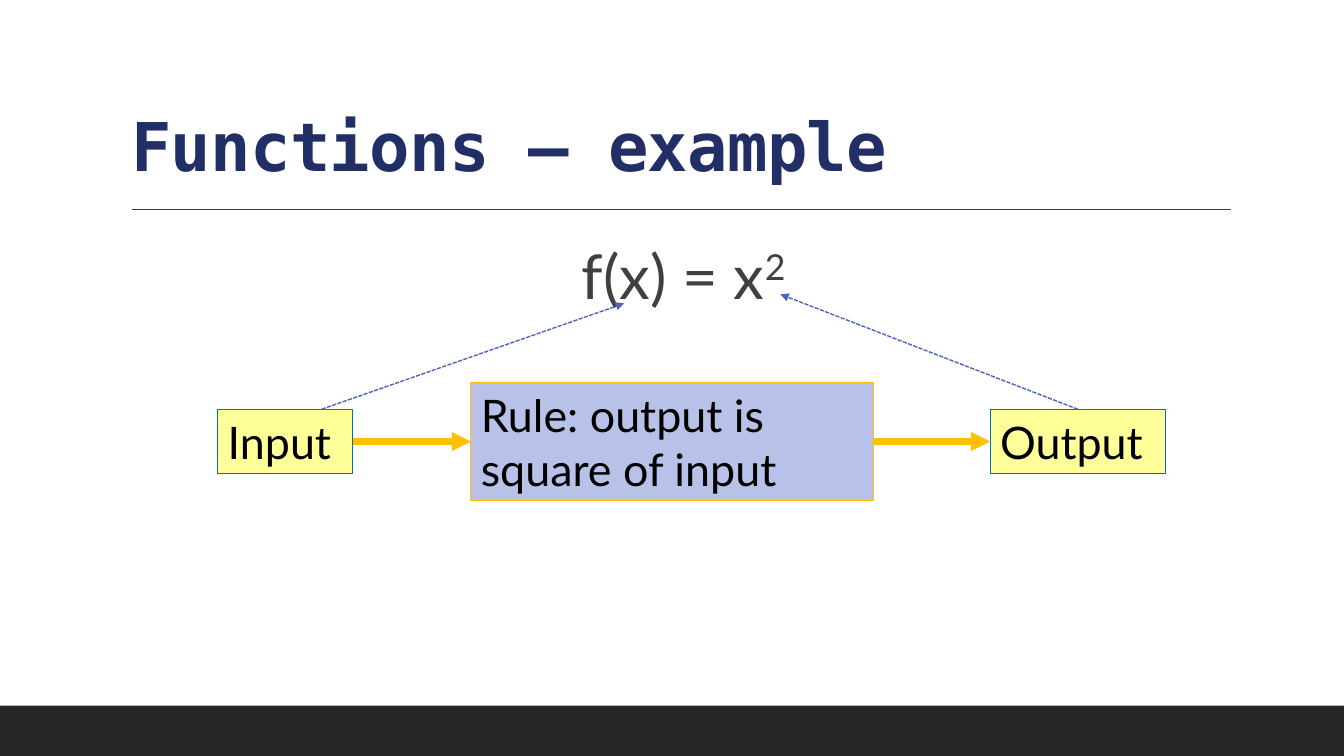
from lxml import etree
from pptx import Presentation
from pptx.dml.color import RGBColor
from pptx.enum.dml import MSO_LINE
from pptx.enum.shapes import MSO_CONNECTOR, MSO_SHAPE
from pptx.enum.text import MSO_ANCHOR, PP_ALIGN
from pptx.oxml.ns import qn
from pptx.util import Inches, Pt

RECTANGLE = MSO_SHAPE.RECTANGLE
STRAIGHT = MSO_CONNECTOR.STRAIGHT
DASH = MSO_LINE.SQUARE_DOT
LEFT, CENTER = PP_ALIGN.LEFT, PP_ALIGN.CENTER
TOP, MIDDLE, BOTTOM = MSO_ANCHOR.TOP, MSO_ANCHOR.MIDDLE, MSO_ANCHOR.BOTTOM
TOP_SITE, LEFT_SITE, RIGHT_SITE = 0, 1, 3

COLORS = {
    "footer": "262626", "gray": "404040", "title": "222F66", "black": "000000",
    "yellow": "FFFF99", "blue": "0070C0", "lilac": "B8C1E7",
    "gold": "FFC000", "pointer": "4D64C3",
}
SLIDE_SIZE = (13.33, 7.5)
FOOTER_HEIGHT = 0.5
TITLE = "Functions – example"
FORMULA = [("f(x) = x", None), ("2", 30)]  # text, superscript percent
FLOW_MIDDLE = 4.38
# text, left, width, height, fill, line
BOXES = [
    ("Input", 2.16, 1.34, 0.64, "yellow", "blue"),
    ("Rule: output is square of input", 4.67, 3.99, 1.18, "lilac", "gold"),
    ("Output", 9.82, 1.74, 0.64, "yellow", "blue"),
]
INPUT_POINTER = ((3.19, 4.06), (6.19, 3.01))
OUTPUT_POINTER = ((10.69, 4.06), (7.74, 2.92))


def color(name):
    return RGBColor.from_string(COLORS[name])


def write_text(shape, runs, size, font="Lato", ink="black", bold=False,
               align=LEFT, anchor=MIDDLE, line_spacing=None, tracking=None):
    """Fill a shape with one paragraph of (text, superscript percent) runs."""
    frame = shape.text_frame
    frame.word_wrap = True
    frame.vertical_anchor = anchor
    paragraph = frame.paragraphs[0]
    paragraph.alignment = align
    if line_spacing:
        paragraph.line_spacing = line_spacing
    for text, superscript in runs:
        run = paragraph.add_run()
        run.text = text
        run.font.size = Pt(size)
        run.font.name = font
        run.font.bold = bold
        run.font.color.rgb = color(ink)
        properties = run._r.get_or_add_rPr()
        if superscript:
            properties.set("baseline", str(superscript * 1000))
        if tracking:
            properties.set("spc", str(int(tracking * 100)))


def add_box(slide, left, top, width, height, fill, line=None):
    box = slide.shapes.add_shape(RECTANGLE, *map(Inches, (left, top, width, height)))
    box.shadow.inherit = False
    box.fill.solid()
    box.fill.fore_color.rgb = color(fill)
    if line:
        box.line.color.rgb = color(line)
        box.line.width = Pt(0.75)
    else:
        box.line.fill.background()
    return box


def add_line(slide, start, end, ink, width, dash=None, arrow=True):
    connector = slide.shapes.add_connector(STRAIGHT, *map(Inches, start + end))
    connector.line.color.rgb = color(ink)
    connector.line.width = Pt(width)
    if dash:
        connector.line.dash_style = dash
    if arrow:
        etree.SubElement(connector.line._get_or_add_ln(), qn("a:tailEnd"), type="triangle")
    etree.SubElement(connector._element.spPr, qn("a:effectLst"))
    return connector


def main():
    presentation = Presentation()
    presentation.slide_width, presentation.slide_height = map(Inches, SLIDE_SIZE)
    slide = presentation.slides.add_slide(presentation.slide_layouts[5])

    add_box(slide, 0, SLIDE_SIZE[1] - FOOTER_HEIGHT, SLIDE_SIZE[0], FOOTER_HEIGHT, "footer")
    add_line(slide, (1.31, 2.08), (12.21, 2.08), "gray", 1, arrow=False)

    title = slide.shapes.title
    title.left, title.top, title.width, title.height = map(Inches, (1.2, 0.31, 11, 1.59))
    write_text(title, [(TITLE, None)], 48, font="DejaVu Sans Mono", ink="title", bold=True,
               anchor=BOTTOM, line_spacing=0.9, tracking=-0.5)

    formula = slide.shapes.add_textbox(*map(Inches, (1.28, 2.31, 11, 0.9)))
    write_text(formula, FORMULA, 44, ink="gray", align=CENTER, anchor=TOP)

    boxes = []
    for text, left, width, height, fill, line in BOXES:
        box = add_box(slide, left, FLOW_MIDDLE - height / 2, width, height, fill, line)
        write_text(box, [(text, None)], 32)
        boxes.append(box)

    for source, target in zip(boxes, boxes[1:]):
        arrow = add_line(slide, (0, 0), (1, 0), "gold", 4.5)
        arrow.begin_connect(source, RIGHT_SITE)
        arrow.end_connect(target, LEFT_SITE)

    add_line(slide, *INPUT_POINTER, "pointer", 1, DASH)
    output_pointer = add_line(slide, *OUTPUT_POINTER, "pointer", 1, DASH)
    output_pointer.begin_connect(boxes[-1], TOP_SITE)

    presentation.save("out.pptx")


if __name__ == "__main__":
    main()
